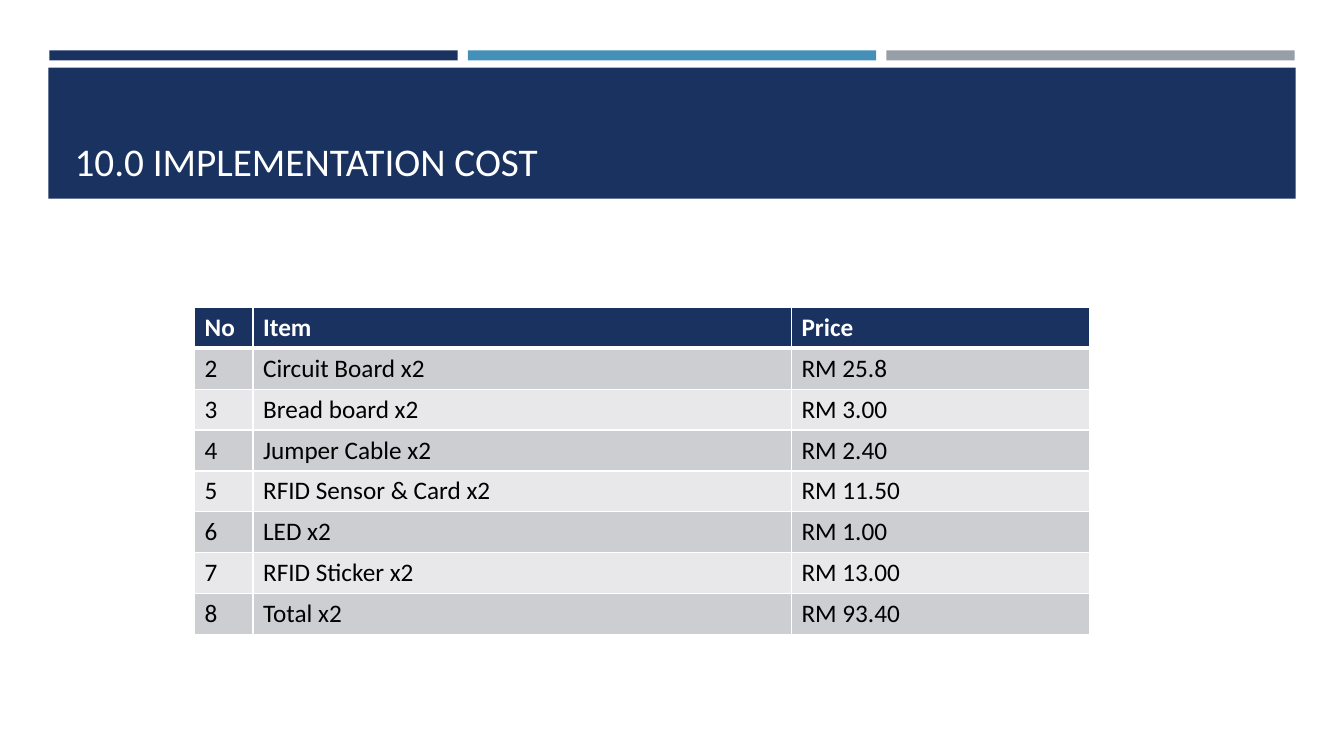
import pptx
import pptx.dml.color
import pptx.enum.shapes
import pptx.enum.text
import pptx.oxml
import pptx.oxml.ns
import pptx.util
from pptx.util import Inches

NAVY, BLUE, GREY, WHITE, BLACK = "1A3260", "4590B8", "969FA7", "FFFFFF", "000000"
BANDS = ("CDCED2", "E8E8EA")
ROWS = [
    ("No", "Item", "Price"),
    ("2", "Circuit Board x2", "RM 25.8"),
    ("3", "Bread board x2", "RM 3.00"),
    ("4", "Jumper Cable x2", "RM 2.40"),
    ("5", "RFID Sensor & Card x2", "RM 11.50"),
    ("6", "LED x2", "RM 1.00"),
    ("7", "RFID Sticker x2", "RM 13.00"),
    ("8", "Total x2", "RM 93.40"),
]


def rgb(color):
    return pptx.dml.color.RGBColor.from_string(color)


def write(tf, text, size, color, bold=False):
    p = tf.paragraphs[0]
    p.alignment = pptx.enum.text.PP_ALIGN.LEFT
    r = p.add_run()
    r.text = text
    font = {"name": "Calibri", "size": pptx.util.Pt(size), "bold": bold}
    for name, value in font.items():
        setattr(r.font, name, value)
    r.font.color.rgb = rgb(color)


def add_bar(s, left, top, width, height, color):
    kind = pptx.enum.shapes.MSO_SHAPE.RECTANGLE
    bar = s.shapes.add_shape(kind, *map(Inches, (left, top, width, height)))
    bar.shadow.inherit = False
    bar.fill.solid()
    bar.fill.fore_color.rgb = rgb(color)
    bar.line.fill.background()


def add_stripes(s, left, top, width, height, gap=0.1):
    colors = (NAVY, BLUE, GREY)
    stripe = (width - gap * (len(colors) - 1)) / len(colors)
    for i, color in enumerate(colors):
        add_bar(s, left + i * (stripe + gap), top, stripe, height, color)


def add_title_band(s, text, left, top, width, height):
    add_bar(s, left, top, width, height, NAVY)
    title = s.shapes.title
    box = {"left": left + 0.16, "top": top + 0.1, "width": width - 0.31, "height": height - 0.19}
    for name, value in box.items():
        setattr(title, name, Inches(value))
    tf = title.text_frame
    frame = {
        "word_wrap": True,
        "auto_size": pptx.enum.text.MSO_AUTO_SIZE.NONE,
        "vertical_anchor": pptx.enum.text.MSO_ANCHOR.BOTTOM,
    }
    for name, value in frame.items():
        setattr(tf, name, value)
    write(tf, text, 28, WHITE)
    title.element.getparent().append(title.element)


def set_borders(cell, widths):
    tc_pr = cell._tc.get_or_add_tcPr()
    for side, width in widths.items():
        tc_pr.append(pptx.oxml.parse_xml(
            f'<a:ln{side} {pptx.oxml.ns.nsdecls("a")} w="{pptx.util.Pt(width)}">'
            f'<a:solidFill><a:srgbClr val="{WHITE}"/></a:solidFill></a:ln{side}>'
        ))


def add_cost_table(s, left, top, widths, row_height):
    size = (sum(widths), row_height * len(ROWS))
    frame = s.shapes.add_table(len(ROWS), len(widths), *map(Inches, (left, top, *size)))
    table = frame.table
    table.horz_banding = False
    for column, width in zip(table.columns, widths):
        column.width = Inches(width)
    for i, texts in enumerate(ROWS):
        table.rows[i].height = Inches(row_height)
        header = i == 0
        fill = NAVY if header else BANDS[(i - 1) % 2]
        borders = {"L": 1, "R": 1, "T": 3 if i == 1 else 1, "B": 3 if header else 1}
        for j, text in enumerate(texts):
            cell = table.cell(i, j)
            set_borders(cell, borders)
            cell.fill.solid()
            cell.fill.fore_color.rgb = rgb(fill)
            write(cell.text_frame, text, 18, WHITE if header else BLACK, header)


def main():
    prs = pptx.Presentation()
    prs.slide_width, prs.slide_height = Inches(13.33), Inches(7.5)
    s = prs.slides.add_slide(prs.slide_layouts[5])
    add_stripes(s, 0.49, 0.5, 12.35, 0.1)
    add_title_band(s, "10.0 IMPLEMENTATION COST", 0.48, 0.67, 12.37, 1.3)
    add_cost_table(s, 1.93, 3.05, (0.58, 5.34, 2.96), 0.405)
    prs.save("out.pptx")


if __name__ == "__main__":
    main()
